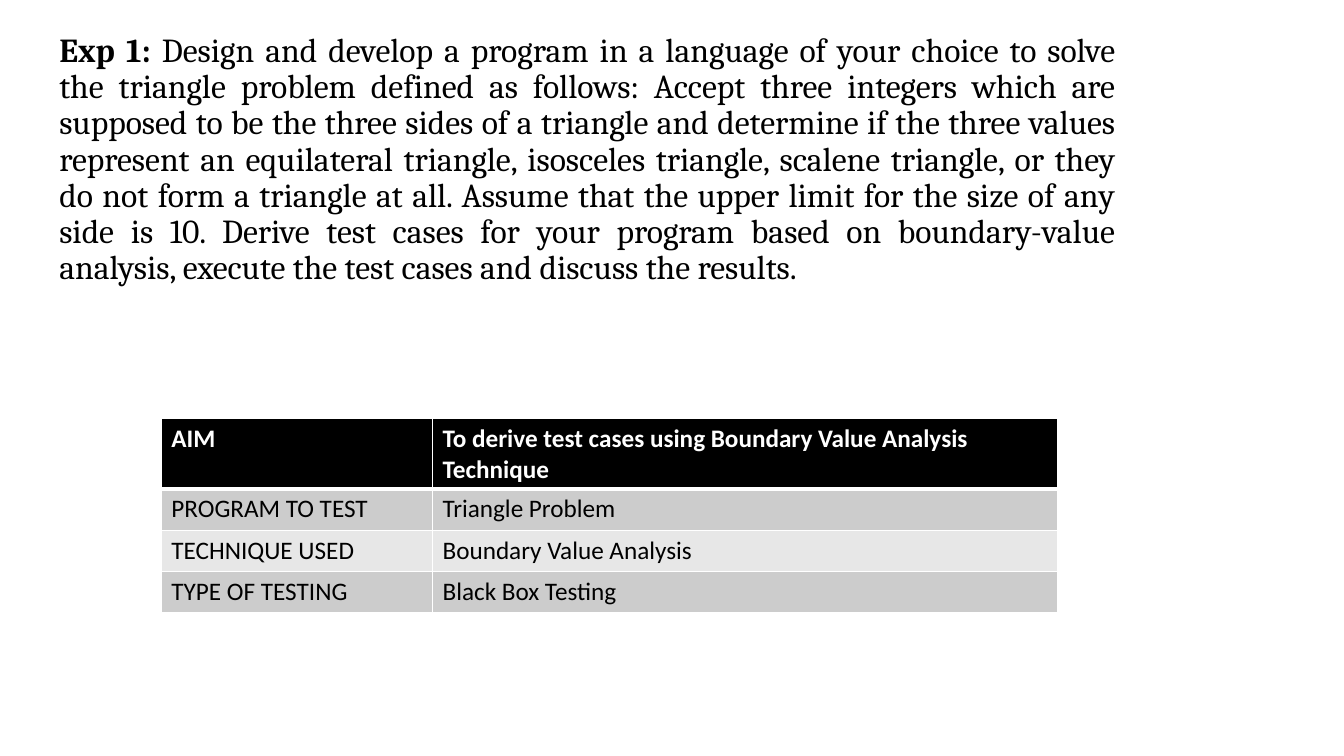
from pptx import Presentation
from pptx import util as u
from pptx.dml.color import RGBColor
from pptx.enum import text
from pptx.oxml import parse_xml
from pptx.oxml.ns import nsdecls

BLACK, WHITE = "000000", "FFFFFF"
BANDS = ["CCCCCC", "E7E7E7"]

TASK_LABEL = "Exp 1: "
TASK = (
    "Design and develop a program in a language of your choice to solve the "
    "triangle problem defined as follows: Accept three integers which are "
    "supposed to be the three sides of a triangle and determine if the three "
    "values represent an equilateral triangle, isosceles triangle, scalene "
    "triangle, or they do not form a triangle at all. Assume that the upper "
    "limit for the size of any side is 10. Derive test cases for your program "
    "based on boundary-value analysis, execute the test cases and discuss the "
    "results."
)
TEST_SUMMARY = [
    ("AIM", "To derive test cases using Boundary Value Analysis Technique"),
    ("PROGRAM TO TEST", "Triangle Problem"),
    ("TECHNIQUE USED", "Boundary Value Analysis"),
    ("TYPE OF TESTING", "Black Box Testing"),
]


def color(hex_value):
    return RGBColor.from_string(hex_value)


class SlideBuilder:
    body_font, body_size = "Cambria", 24
    table_font, table_size = "Calibri", 18

    def __init__(self, slide):
        self.slide = slide

    def style(self, run, font, size, ink, bold):
        run.font.name = font
        run.font.size = u.Pt(size)
        run.font.color.rgb = color(ink)
        run.font.bold = bold

    def statement(self, label, body, left, top, width, height):
        """Add a justified paragraph that opens with a bold label."""
        box = self.slide.shapes.add_textbox(
            u.Inches(left), u.Inches(top), u.Inches(width), u.Inches(height))
        box.text_frame.word_wrap = True
        paragraph = box.text_frame.paragraphs[0]
        paragraph.alignment = text.PP_ALIGN.JUSTIFY
        paragraph.line_spacing = 0.9
        paragraph.space_before = u.Pt(10)
        for words, bold in ((label, True), (body, False)):
            run = paragraph.add_run()
            run.text = words
            self.style(run, self.body_font, self.body_size, BLACK, bold)

    def borders(self, cell, widths):
        """Draw white cell edges; widths maps L, R, T, B to points."""
        properties = cell._tc.get_or_add_tcPr()
        for index, side in enumerate("LRTB"):
            properties.insert(index, parse_xml(
                f'<a:ln{side} {nsdecls("a")} w="{u.Pt(widths[side])}">'
                f'<a:solidFill><a:srgbClr val="{WHITE}"/></a:solidFill>'
                f'</a:ln{side}>'))

    def table(self, rows, left, top, column_widths, row_heights):
        grid = self.slide.shapes.add_table(
            len(rows), len(column_widths), u.Inches(left), u.Inches(top),
            u.Inches(sum(column_widths)), u.Inches(sum(row_heights))).table
        for column, width in zip(grid.columns, column_widths):
            column.width = u.Inches(width)
        for r, (values, height) in enumerate(zip(rows, row_heights)):
            grid.rows[r].height = u.Inches(height)
            header = r == 0
            fill = BLACK if header else BANDS[(r - 1) % 2]
            edges = {"L": 1, "R": 1, "T": 3 if r == 1 else 1,
                     "B": 3 if header else 1}
            for c, value in enumerate(values):
                cell = grid.cell(r, c)
                cell.text_frame.text = value
                cell.fill.solid()
                cell.fill.fore_color.rgb = color(fill)
                self.style(cell.text_frame.paragraphs[0].runs[0],
                           self.table_font, self.table_size,
                           WHITE if header else BLACK, header)
                self.borders(cell, edges)


def main():
    deck = Presentation()
    deck.slide_width, deck.slide_height = u.Inches(13.33), u.Inches(7.5)
    builder = SlideBuilder(deck.slides.add_slide(deck.slide_layouts[6]))
    builder.statement(TASK_LABEL, TASK, 0.49, 0.28, 10.67, 4.84)
    builder.table(TEST_SUMMARY, 1.6, 4.15, [2.69, 6.2], [0.7] + [0.41] * 3)
    deck.save("out.pptx")


if __name__ == "__main__":
    main()
